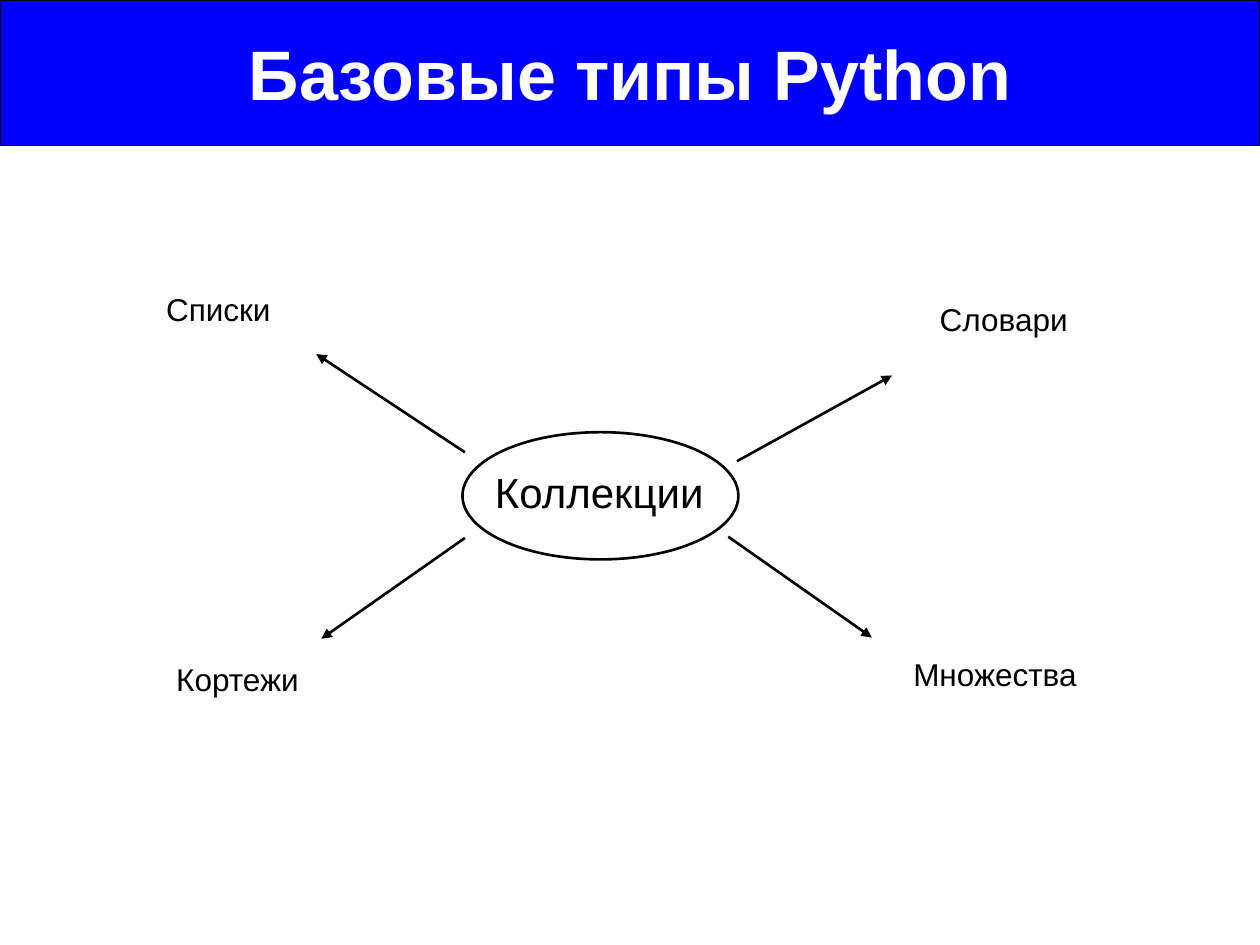
from dataclasses import dataclass

import lxml.etree
import pptx
import pptx.dml.color
import pptx.enum.shapes
import pptx.enum.text
import pptx.oxml.ns
import pptx.util

COLS, ROWS = 100, 75  # square grid over the slide

Color = pptx.dml.color.RGBColor
Kind = pptx.enum.shapes.MSO_SHAPE
Point = tuple[float, float]
Box = tuple[float, float, float, float]


@dataclass(frozen=True)
class Theme:
    font: str = "Arial"
    band: Color = Color(0, 0, 255)
    ink: Color = Color(0, 0, 0)
    paper: Color = Color(255, 255, 255)
    title: int = 40
    hub: int = 24
    label: int = 18
    thin: float = 0.75
    thick: float = 1.5


@dataclass(frozen=True)
class Spoke:
    text: str
    box: Box
    start: Point
    end: Point


THEME = Theme()
SPOKES = (
    Spoke("Cписки", (12.2, 22.5, 10.4, 4), (36.9, 35.9), (25.1, 28.1)),
    Spoke("Кортежи", (13, 51.9, 11.9, 4), (36.9, 42.7), (25.5, 50.7)),
    Spoke("Словари", (73.6, 23.3, 12.3, 4), (58.5, 36.6), (70.8, 29.8)),
    Spoke("Множества", (71.5, 51.5, 15.1, 4), (57.8, 42.6), (69.2, 50.6)),
)


def grid(*cells: float) -> list[int]:
    """Turn grid cells into slide lengths."""
    return [pptx.util.Inches(cell / 10) for cell in cells]


def write(frame, text: str, size: int, color: Color, bold: bool = False) -> None:
    frame.word_wrap = False
    run = frame.paragraphs[0].add_run()
    run.text = text
    font = run.font
    font.name, font.size, font.bold = THEME.font, pptx.util.Pt(size), bold
    font.color.rgb = color


def stroke(line, width: float) -> None:
    line.color.rgb = THEME.ink
    line.width = pptx.util.Pt(width)


def add_shape(slide, kind: Kind, box: Box, width: float):
    """Add an outlined shape without fill or shadow."""
    shape = slide.shapes.add_shape(kind, *grid(*box))
    shape.shadow.inherit = False
    shape.fill.background()
    stroke(shape.line, width)
    return shape


def add_label(slide, text: str, box: Box, size: int) -> None:
    frame = slide.shapes.add_textbox(*grid(*box)).text_frame
    write(frame, text, size, THEME.ink)
    frame.auto_size = pptx.enum.text.MSO_AUTO_SIZE.SHAPE_TO_FIT_TEXT


def add_arrow(slide, start: Point, end: Point) -> None:
    arrow = slide.shapes.add_connector(
        pptx.enum.shapes.MSO_CONNECTOR.STRAIGHT, *grid(*start, *end)
    )
    stroke(arrow.line, THEME.thick)
    name = pptx.oxml.ns.qn
    props = arrow._element.spPr
    line = props.find(name("a:ln"))
    lxml.etree.SubElement(line, name("a:tailEnd"), type="triangle")
    lxml.etree.SubElement(props, name("a:effectLst"))


def add_title(slide, text: str) -> None:
    band = add_shape(slide, Kind.RECTANGLE, (0, 0, COLS, 11.53), THEME.thin)
    band.fill.solid()
    band.fill.fore_color.rgb = THEME.band
    frame = band.text_frame
    frame.vertical_anchor = pptx.enum.text.MSO_ANCHOR.MIDDLE
    frame.paragraphs[0].alignment = pptx.enum.text.PP_ALIGN.CENTER
    write(frame, text, THEME.title, THEME.paper, bold=True)


def main() -> None:
    deck = pptx.Presentation()
    deck.slide_width, deck.slide_height = grid(COLS, ROWS)
    slide = deck.slides.add_slide(deck.slide_layouts[6])
    add_title(slide, "Базовые типы Python")
    add_label(slide, "Коллекции", (38.3, 36.5, 18.6, 5), THEME.hub)
    for spoke in SPOKES:
        add_label(slide, spoke.text, spoke.box, THEME.label)
        add_arrow(slide, spoke.start, spoke.end)
    add_shape(slide, Kind.OVAL, (36.7, 34.3, 21.9, 10.1), THEME.thick)
    deck.save("out.pptx")


if __name__ == "__main__":
    main()
